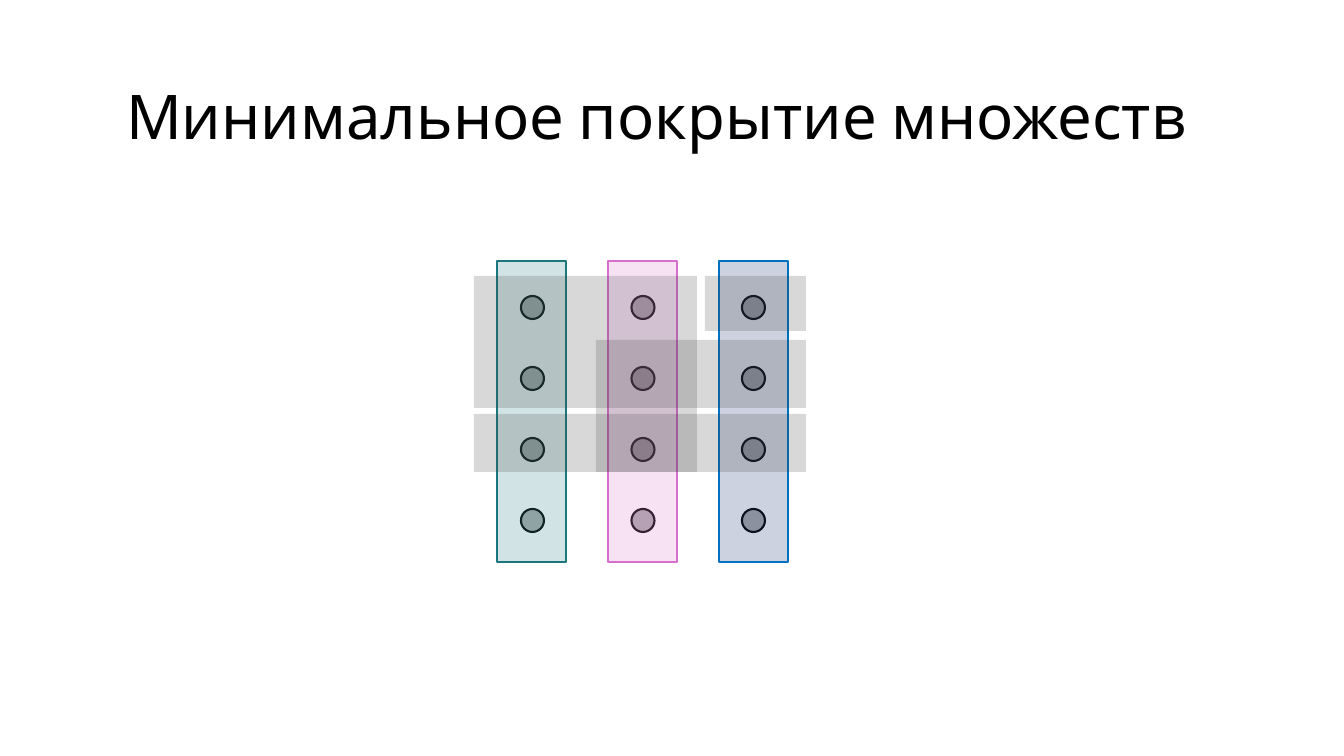
from itertools import product
from lxml.etree import SubElement
from pptx import Presentation
from pptx.dml.color import RGBColor
from pptx.enum.shapes import MSO_SHAPE
from pptx.enum.text import MSO_ANCHOR, MSO_AUTO_SIZE, PP_ALIGN
from pptx.oxml.ns import qn
from pptx.util import Emu, Pt

TITLE = "Минимальное покрытие множеств"
DOTS = {"left": 521, "top": 296, "across": 110.5, "down": 71, "size": 23}
BARS = [("1C777C", "1C777C"), ("D86ECC", "D86ECC"), ("002060", "0070C0")]
BAR = {"left": 497, "top": 261, "step": 111, "wide": 69, "high": 301}
SETS = [
    (474, 276, 223, 132),
    (596, 340, 101, 132),
    (697, 340, 109, 68),
    (705, 276, 101, 55),
    (474, 414, 332, 58),
]


def px(n):
    return Emu(round(n * 914400 / 100.8))


def color(code):
    return RGBColor.from_string(code)


def draw(kind, box, fill, line=None, alpha=None):
    shape = slide.shapes.add_shape(kind, *map(px, box))
    shape.shadow.inherit = False
    shape.fill.solid()
    shape.fill.fore_color.rgb = color(fill)
    if alpha:
        tone = shape.fill._xPr.find(".//" + qn("a:srgbClr"))
        SubElement(tone, qn("a:alpha"), val=str(alpha * 1000))
    if line:
        shape.line.color.rgb = color(line)
        shape.line.width = Pt(1.5)
    else:
        shape.line.fill.background()


deck = Presentation()
deck.slide_width, deck.slide_height = px(1344), px(756)
slide = deck.slides.add_slide(deck.slide_layouts[5])

for row, col in product(range(4), range(3)):
    left = DOTS["left"] + col * DOTS["across"]
    top = DOTS["top"] + row * DOTS["down"]
    draw(MSO_SHAPE.OVAL, (left, top, DOTS["size"], DOTS["size"]), "AEAEAE", "0D0D0D")

for col, (fill, line) in enumerate(BARS):
    left = BAR["left"] + col * BAR["step"]
    draw(MSO_SHAPE.RECTANGLE, (left, BAR["top"], BAR["wide"], BAR["high"]), fill, line, 20)

for box in SETS:
    draw(MSO_SHAPE.RECTANGLE, box, "404040", alpha=20)

title = slide.shapes.title
title.left, title.top, title.width, title.height = map(px, (116, 81, 1111, 78))
frame = title.text_frame
frame.text = TITLE
frame.word_wrap = True
frame.auto_size = MSO_AUTO_SIZE.NONE
frame.vertical_anchor = MSO_ANCHOR.MIDDLE
para = frame.paragraphs[0]
para.alignment = PP_ALIGN.LEFT
para.line_spacing = 0.9
font = para.runs[0].font
font.name, font.size = "Karla", Pt(44)
font.color.rgb = color("000000")

deck.save("out.pptx")
